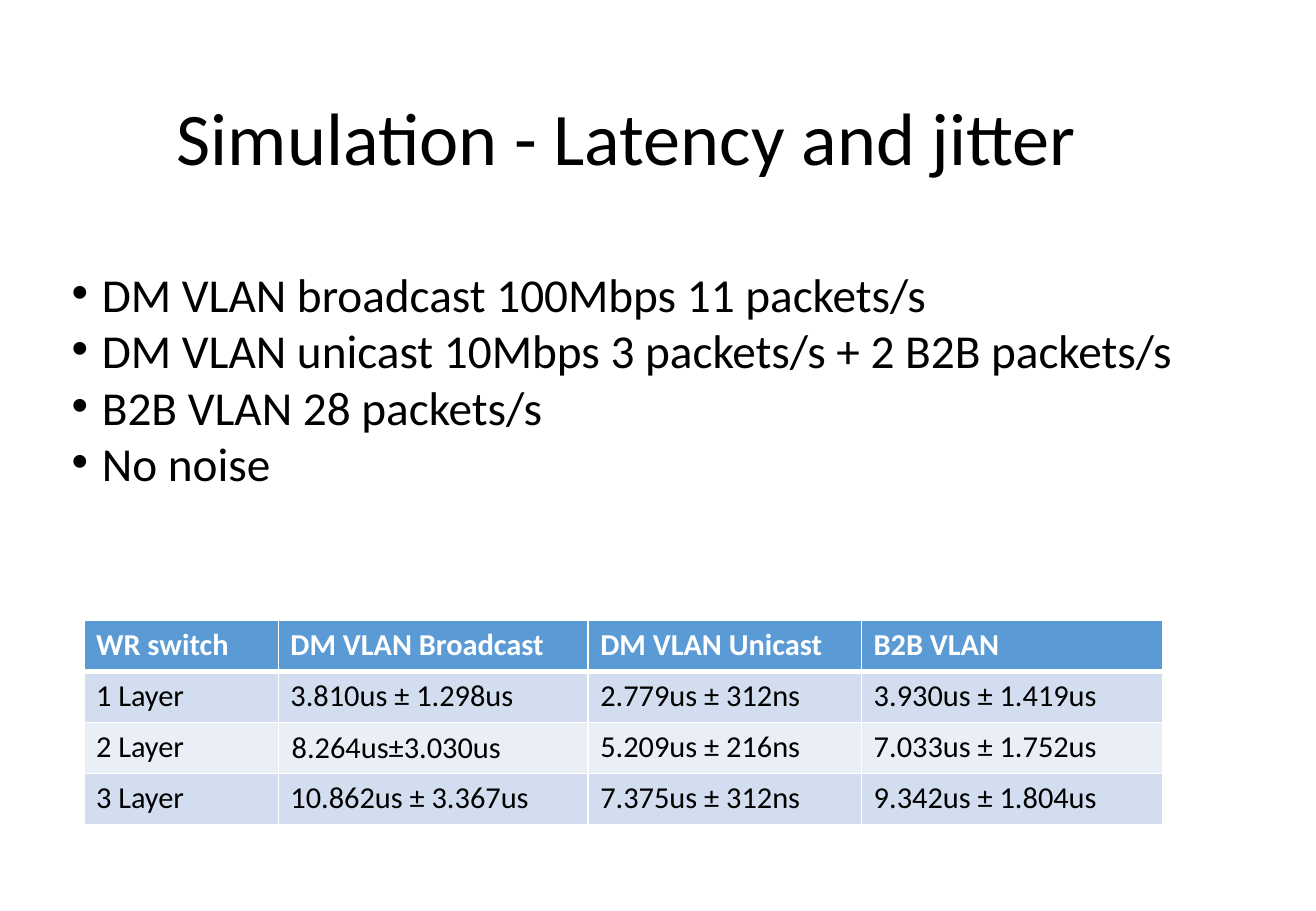
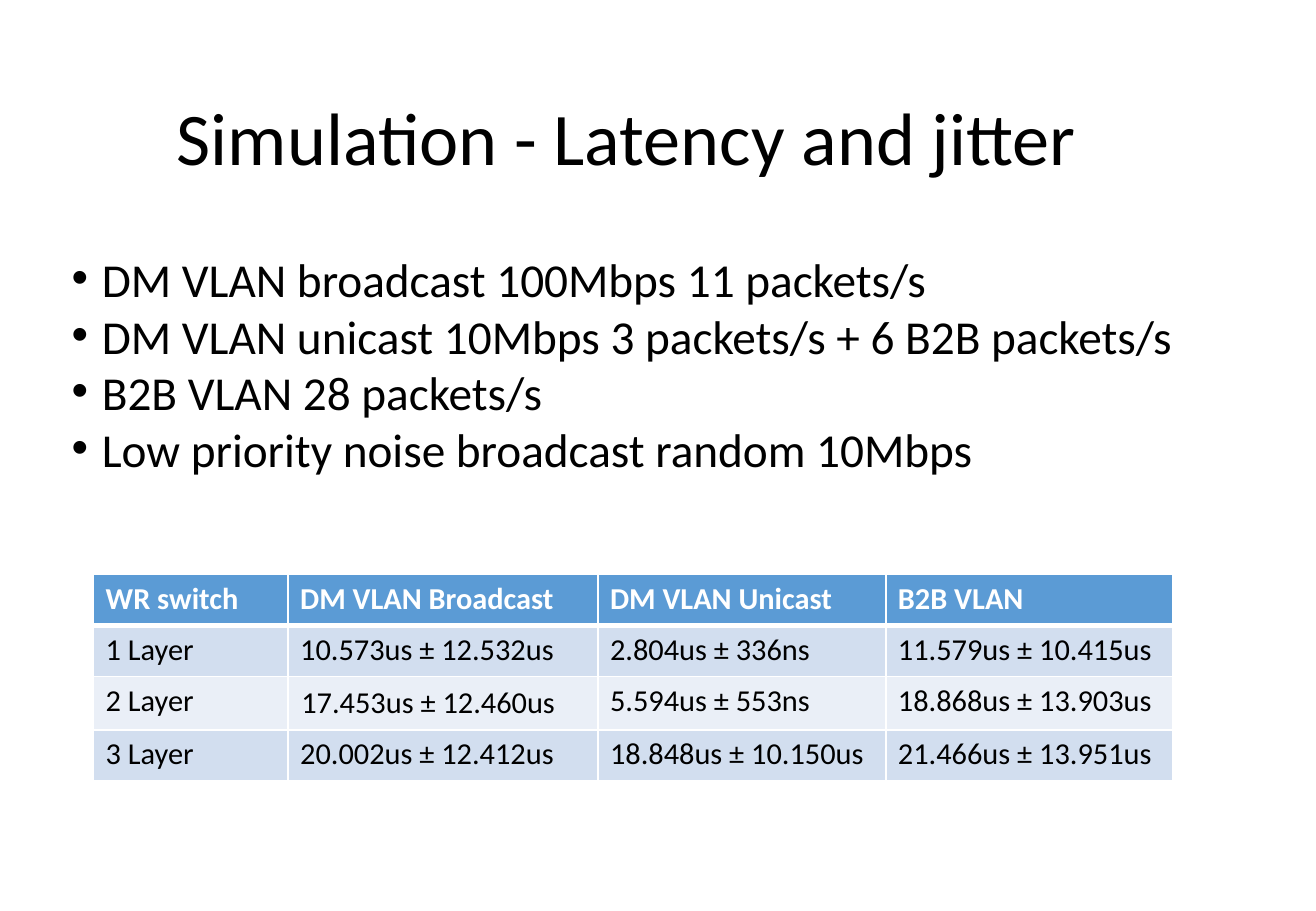
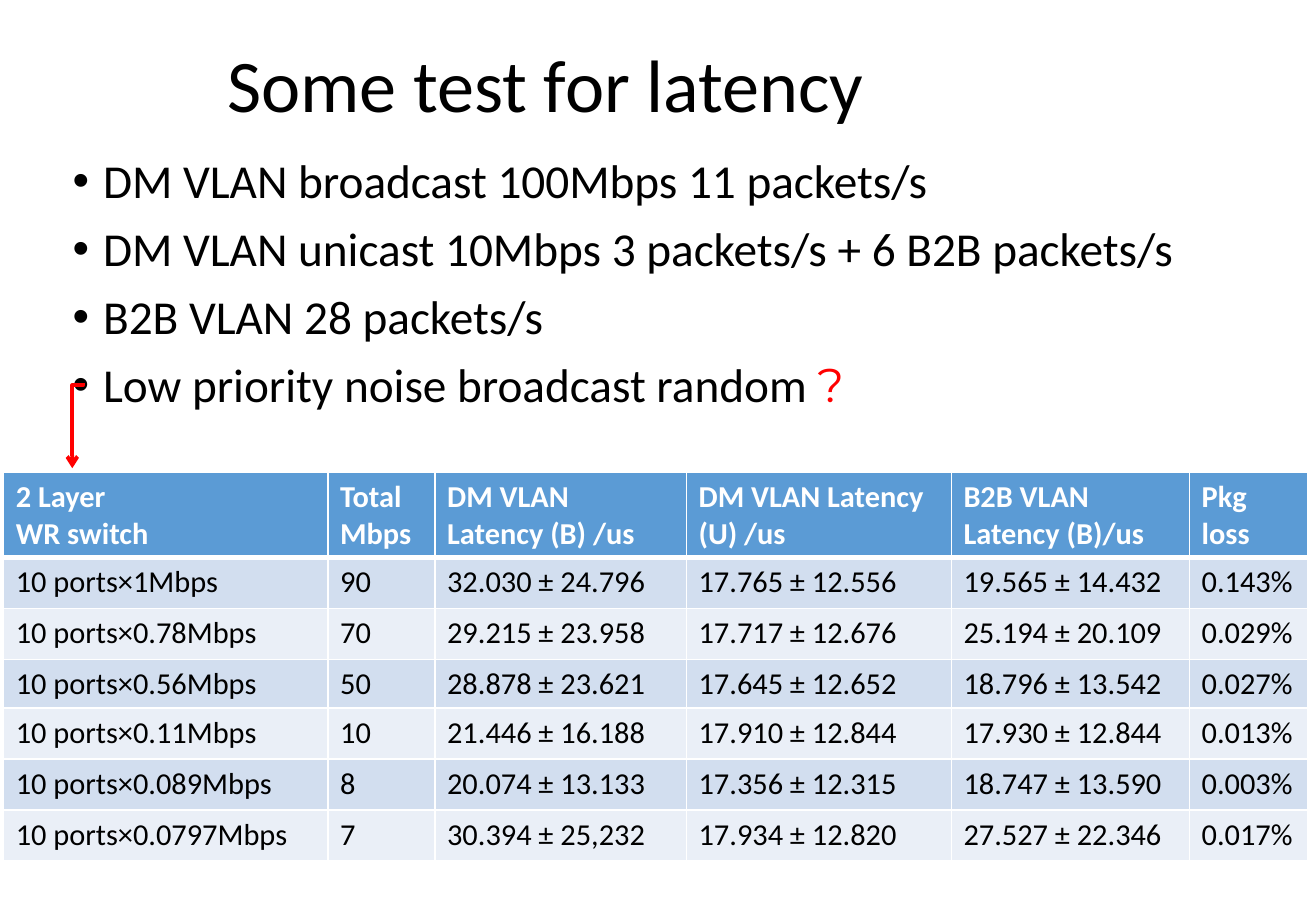
from dataclasses import dataclass

from lxml.etree import Element, SubElement
from pptx import Presentation
from pptx.dml.color import RGBColor
from pptx.enum.shapes import MSO_CONNECTOR
from pptx.enum.text import MSO_ANCHOR, PP_ALIGN
from pptx.oxml.ns import qn
from pptx.util import Inches, Pt

# Shared look
FONT = "Calibri"
ACCENT_FONT = "Montserrat"
BLACK, WHITE, RED = "000000", "FFFFFF", "FF0000"
HEADER_FILL = "5B9BD5"
BAND_FILLS = ("D2DEEF", "EAEFF7")
TITLE_SIZE, BULLET_SIZE, CELL_SIZE = 44, 28, 18
TITLE_WIDTH, TITLE_HEIGHT = 9.34, 1.45
BODY_WIDTH, BODY_HEIGHT = 9.35, 2.9
BULLET_INDENT = 0.25
THIN_BORDER, THICK_BORDER = 1, 3


@dataclass
class Span:
    text: str
    font: str = FONT
    color: str = BLACK


@dataclass
class Title:
    text: str
    left: float
    top: float
    align: PP_ALIGN = PP_ALIGN.CENTER


@dataclass
class Bullets:
    left: float
    top: float
    line_spacing: float
    items: list


@dataclass
class Grid:
    left: float
    top: float
    columns: list
    heights: list
    rows: list
    centered_cell: tuple | None = None


@dataclass
class Page:
    title: Title
    bullets: Bullets
    grid: Grid


def rgb(color: str) -> RGBColor:
    return RGBColor.from_string(color)


# Text
def add_span(para, text: str, *, size: float, font: str = FONT,
             color: str = BLACK, bold: bool = False) -> None:
    span = para.add_run()
    span.text = text
    span.font.size = Pt(size)
    span.font.name = font
    span.font.bold = bold
    span.font.color.rgb = rgb(color)


def add_frame(page, left: float, top: float, width: float, height: float,
              anchor=MSO_ANCHOR.TOP):
    box = page.shapes.add_textbox(Inches(left), Inches(top), Inches(width), Inches(height))
    frame = box.text_frame
    frame.word_wrap = True
    frame.vertical_anchor = anchor
    return frame


def draw_title(page, title: Title) -> None:
    frame = add_frame(page, title.left, title.top, TITLE_WIDTH, TITLE_HEIGHT, MSO_ANCHOR.MIDDLE)
    para = frame.paragraphs[0]
    para.alignment = title.align
    para.line_spacing = 0.9
    add_span(para, title.text, size=TITLE_SIZE)


def draw_bullets(page, bullets: Bullets) -> None:
    frame = add_frame(page, bullets.left, bullets.top, BODY_WIDTH, BODY_HEIGHT)
    for index, item in enumerate(bullets.items):
        para = frame.add_paragraph() if index else frame.paragraphs[0]
        para.line_spacing = bullets.line_spacing
        para.space_before = Pt(10)
        properties = para._p.get_or_add_pPr()
        properties.set("marL", str(Inches(BULLET_INDENT)))
        properties.set("indent", str(-Inches(BULLET_INDENT)))
        SubElement(properties, qn("a:buFont"), typeface="Arial")
        SubElement(properties, qn("a:buChar"), char="•")
        for span in [Span(item)] if isinstance(item, str) else item:
            add_span(para, span.text, size=BULLET_SIZE, font=span.font, color=span.color)


# Tables
def set_borders(cell, top: float, bottom: float) -> None:
    properties = cell._tc.get_or_add_tcPr()
    widths = {"lnL": THIN_BORDER, "lnR": THIN_BORDER, "lnT": top, "lnB": bottom}
    for position, (side, width) in enumerate(widths.items()):
        line = Element(qn(f"a:{side}"), w=str(Pt(width)))
        SubElement(SubElement(line, qn("a:solidFill")), qn("a:srgbClr"), val=WHITE)
        properties.insert(position, line)


def draw_cell(cell, text: str, row: int) -> None:
    header = row == 0
    cell.fill.solid()
    cell.fill.fore_color.rgb = rgb(HEADER_FILL if header else BAND_FILLS[(row - 1) % 2])
    set_borders(cell, THICK_BORDER if row == 1 else THIN_BORDER,
                THICK_BORDER if header else THIN_BORDER)
    for index, line in enumerate(text.split("\n")):
        para = cell.text_frame.add_paragraph() if index else cell.text_frame.paragraphs[0]
        add_span(para, line, size=CELL_SIZE, color=WHITE if header else BLACK, bold=header)


def draw_grid(page, grid: Grid) -> None:
    table = page.shapes.add_table(
        len(grid.rows), len(grid.columns), Inches(grid.left), Inches(grid.top),
        Inches(sum(grid.columns)), Inches(sum(grid.heights))).table
    for column, width in zip(table.columns, grid.columns):
        column.width = Inches(width)
    for row, height in zip(table.rows, grid.heights):
        row.height = Inches(height)
    for row, texts in enumerate(grid.rows):
        for column, text in enumerate(texts):
            draw_cell(table.cell(row, column), text, row)
    if grid.centered_cell:
        cell = table.cell(*grid.centered_cell)
        cell.vertical_anchor = MSO_ANCHOR.MIDDLE
        cell.margin_left = Inches(0.11)
        cell.margin_right = cell.margin_top = cell.margin_bottom = 0


# Bent arrow, turned a quarter so that it runs down
def draw_noise_arrow(page) -> None:
    arrow = page.shapes.add_connector(
        MSO_CONNECTOR.ELBOW, Inches(0.29), Inches(3.46), Inches(0.99), Inches(3.55))
    arrow.line.color.rgb = rgb(RED)
    arrow.line.width = Pt(2.25)
    SubElement(arrow.line._get_or_add_ln(), qn("a:tailEnd"), type="arrow")
    properties = arrow._element.spPr
    properties.find(qn("a:xfrm")).set("rot", str(90 * 60000))
    guides = properties.find(qn("a:prstGeom")).find(qn("a:avLst"))
    SubElement(guides, qn("a:gd"), name="adj1", fmla="val 2400")
    SubElement(properties, qn("a:effectLst"))


# Content
BROADCAST = "DM VLAN broadcast 100Mbps 11 packets/s"
UNICAST = "DM VLAN unicast 10Mbps 3 packets/s + {} B2B packets/s"
B2B = "B2B VLAN 28 packets/s"
NOISE = "Low priority noise broadcast random "
LAYER_HEADER = ["WR switch", "DM VLAN Broadcast", "DM VLAN Unicast", "B2B VLAN"]
SIMULATION_TITLE = Title("Simulation - Latency and jitter", 0.49, 0.44)

PAGES = [
    Page(
        SIMULATION_TITLE,
        Bullets(0.49, 2.26, 0.7, [BROADCAST, UNICAST.format(2), B2B, "No noise"]),
        Grid(0.69, 5.11, [1.6, 2.55, 2.25, 2.48], [0.42] * 4, [
            LAYER_HEADER,
            ["1 Layer", "3.810us ± 1.298us", "2.779us ± 312ns", "3.930us ± 1.419us"],
            ["2 Layer", "8.264us±3.030us", "5.209us ± 216ns", "7.033us ± 1.752us"],
            ["3 Layer", "10.862us ± 3.367us", "7.375us ± 312ns", "9.342us ± 1.804us"],
        ], centered_cell=(2, 1)),
    ),
    Page(
        SIMULATION_TITLE,
        Bullets(0.49, 2.14, 0.7, [BROADCAST, UNICAST.format(6), B2B, NOISE + "10Mbps"]),
        Grid(0.77, 4.73, [1.6, 2.55, 2.37, 2.36], [0.42, 0.42, 0.44, 0.42], [
            LAYER_HEADER,
            ["1 Layer", "10.573us ± 12.532us", "2.804us ± 336ns", "11.579us ± 10.415us"],
            ["2 Layer", "17.453us ± 12.460us", "5.594us ± 553ns", "18.868us ± 13.903us"],
            ["3 Layer", "20.002us ± 12.412us", "18.848us ± 10.150us", "21.466us ± 13.951us"],
        ], centered_cell=(2, 1)),
    ),
    Page(
        Title("Some test for latency", 1.77, 0, PP_ALIGN.LEFT),
        Bullets(0.5, 1.25, 0.9, [BROADCAST, UNICAST.format(6), B2B,
                                 [Span(NOISE), Span("?", ACCENT_FONT, RED)]]),
        Grid(0.03, 3.89, [2.67, 0.88, 2.07, 2.18, 1.96, 0.97],
             [0.7, 0.42, 0.42, 0.39, 0.42, 0.42, 0.42], [
            ["2 Layer\nWR switch", "Total\nMbps", "DM VLAN\nLatency (B) /us",
             "DM VLAN Latency (U) /us", "B2B VLAN\nLatency (B)/us", "Pkg loss"],
            ["10 ports×1Mbps", "90", "32.030 ± 24.796", "17.765 ± 12.556",
             "19.565 ± 14.432", "0.143%"],
            ["10 ports×0.78Mbps", "70", "29.215 ± 23.958", "17.717 ± 12.676",
             "25.194 ± 20.109", "0.029%"],
            ["10 ports×0.56Mbps", "50", "28.878 ± 23.621", "17.645 ± 12.652",
             "18.796 ± 13.542", "0.027%"],
            ["10 ports×0.11Mbps", "10", "21.446 ± 16.188", "17.910 ± 12.844",
             "17.930 ± 12.844", "0.013%"],
            ["10 ports×0.089Mbps", "8", "20.074 ± 13.133", "17.356 ± 12.315",
             "18.747 ± 13.590", "0.003%"],
            ["10 ports×0.0797Mbps", "7", "30.394 ± 25,232", "17.934 ± 12.820",
             "27.527 ± 22.346", "0.017%"],
        ]),
    ),
]

# Deck
deck = Presentation()
deck.slide_width, deck.slide_height = Inches(10.83), Inches(7.5)
for content in PAGES:
    page = deck.slides.add_slide(deck.slide_layouts[6])
    draw_title(page, content.title)
    draw_bullets(page, content.bullets)
    draw_grid(page, content.grid)
draw_noise_arrow(page)
deck.save("out.pptx")
